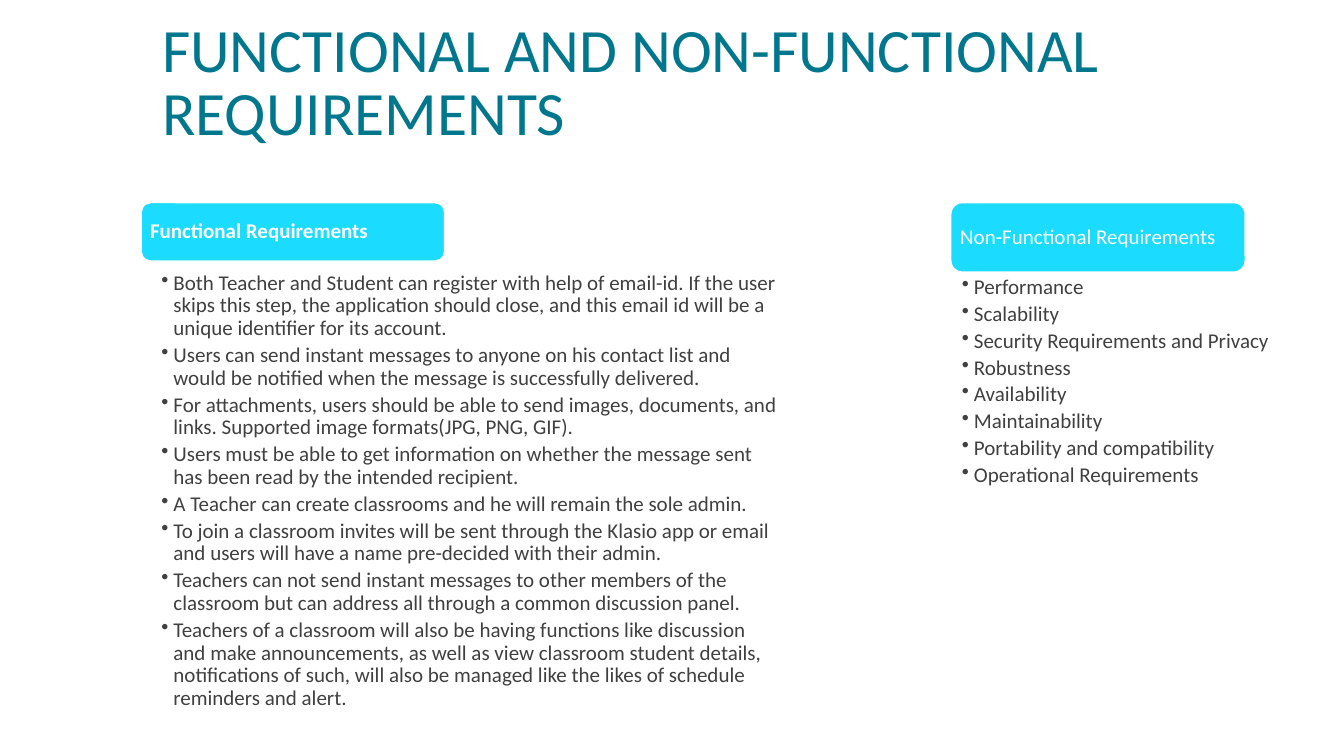
from lxml import etree
from pptx import Presentation
from pptx.dml.color import RGBColor
from pptx.enum.shapes import MSO_SHAPE
from pptx.enum.text import MSO_ANCHOR, PP_ALIGN
from pptx.oxml.ns import qn
from pptx.util import Inches, Pt

ROUND = MSO_SHAPE.ROUNDED_RECTANGLE
TOP, MIDDLE, BOTTOM = MSO_ANCHOR.TOP, MSO_ANCHOR.MIDDLE, MSO_ANCHOR.BOTTOM
LEFT = PP_ALIGN.LEFT
FONT = "Calibri"
TEAL, CYAN, WHITE, GRAY = "00778D", "1BDCFF", "FFFFFF", "404040"

NEEDS = [
    "Both Teacher and Student can register with help of email-id. If the user skips this step, the application should close, and this email id will be a unique identifier for its account.",
    "Users can send instant messages to anyone on his contact list and would be notified when the message is successfully delivered.",
    "For attachments, users should be able to send images, documents, and links. Supported image formats(JPG, PNG, GIF).",
    "Users must be able to get information on whether the message sent has been read by the intended recipient.",
    "A Teacher can create classrooms and he will remain the sole admin.",
    "To join a classroom invites will be sent through the Klasio app or email and users will have a name pre-decided with their admin.",
    "Teachers can not send instant messages to other members of the classroom but can address all through a common discussion panel.",
    "Teachers of a classroom will also be having functions like discussion and make announcements, as well as view classroom student details, notifications of such, will also be managed like the likes of schedule reminders and alert.",
]
TRAITS = [
    "Performance",
    "Scalability",
    "Security Requirements and Privacy",
    "Robustness",
    "Availability",
    "Maintainability",
    "Portability and compatibility",
    "Operational Requirements",
]


def paint(text):
    return RGBColor.from_string(text)


def add_bullet(para):
    props = para._p.get_or_add_pPr()
    props.set("marL", str(Inches(0.12)))
    props.set("indent", str(-Inches(0.12)))
    etree.SubElement(props, qn("a:buChar"), char="•")


def write(shape, lines, size=15, color=GRAY, bold=False, anchor=TOP,
          inset=(0.1, 0.05, 0.1, 0.05), space=0.9, after=0, bullet=False):
    frame = shape.text_frame
    frame.word_wrap = True
    frame.vertical_anchor = anchor
    (frame.margin_left, frame.margin_top,
     frame.margin_right, frame.margin_bottom) = map(Inches, inset)
    for i, line in enumerate(lines):
        para = frame.add_paragraph() if i else frame.paragraphs[0]
        para.alignment = LEFT
        para.line_spacing = space
        para.space_before = Pt(0)
        para.space_after = Pt(after)
        if bullet:
            para.level = 1
            add_bullet(para)
        run = para.add_run()
        run.text = line
        run.font.name = FONT
        run.font.size = Pt(size)
        run.font.bold = bold
        run.font.color.rgb = paint(color)


def add_text(slide, box, lines, **style):
    write(slide.shapes.add_textbox(*map(Inches, box)), lines, **style)


def add_label(slide, box, text, bold=False):
    label = slide.shapes.add_shape(ROUND, *map(Inches, box))
    label.shadow.inherit = False
    label.fill.solid()
    label.fill.fore_color.rgb = paint(CYAN)
    label.line.color.rgb = paint(WHITE)
    label.line.width = Pt(1)
    write(label, [text], color=WHITE, bold=bold, anchor=MIDDLE,
          inset=(0.06,) * 4)


def add_list(slide, box, lines, left):
    add_text(slide, box, lines, inset=(left, 0.02, 0.12, 0.02),
             after=3, bullet=True)


def main():
    deck = Presentation()
    deck.slide_width, deck.slide_height = Inches(13.33), Inches(7.5)
    slide = deck.slides.add_slide(deck.slide_layouts[6])
    add_text(slide, (1.51, 0.1, 12.67, 1.42),
             ["FUNCTIONAL AND NON-FUNCTIONAL REQUIREMENTS"],
             size=44, color=TEAL, anchor=BOTTOM, space=0.85)
    add_label(slide, (1.4, 2.01, 3.01, 0.58), "Functional Requirements", bold=True)
    add_list(slide, (1.4, 2.68, 6.45, 4.56), NEEDS, left=0.2)
    add_label(slide, (9.43, 2.01, 2.92, 0.69), "Non-Functional Requirements")
    add_list(slide, (9.43, 2.72, 3.5, 3.01), TRAITS, left=0.11)
    deck.save("out.pptx")


if __name__ == "__main__":
    main()
